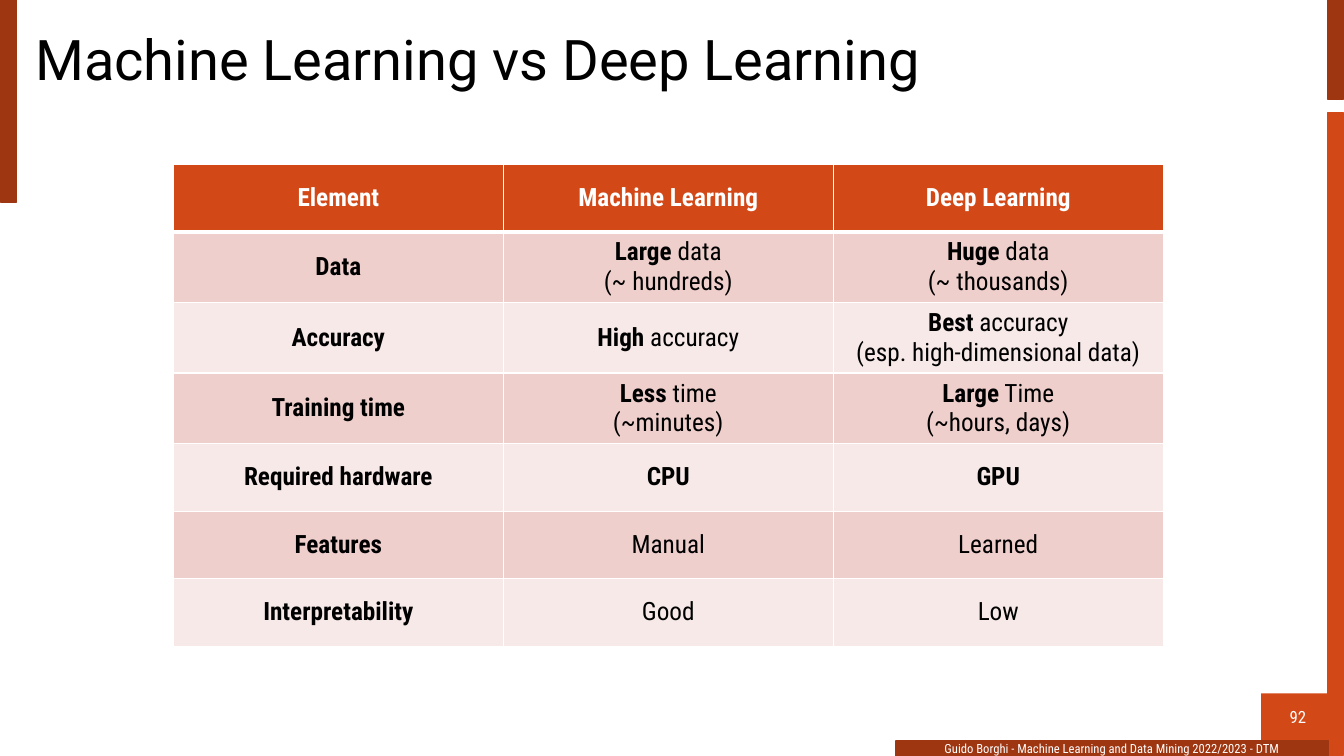
from lxml.etree import SubElement
from pptx import Presentation
from pptx.dml.color import RGBColor
from pptx.enum.shapes import MSO_SHAPE
from pptx.enum.text import MSO_ANCHOR, PP_ALIGN
from pptx.oxml.ns import qn
from pptx.util import Inches, Pt

WIDE, HIGH = Inches(13.33), Inches(7.5)
ORANGE = RGBColor(0xD3, 0x48, 0x17)
RUST = RGBColor(0x9E, 0x36, 0x11)
ROSE = RGBColor(0xEF, 0xCF, 0xCC)
BLUSH = RGBColor(0xF7, 0xE9, 0xE8)
WHITE = RGBColor(0xFF, 0xFF, 0xFF)
BLACK = RGBColor(0, 0, 0)

BARS = [
    (98.81, 14.87, 1.13, 85.07, ORANGE),
    (98.81, 0, 1.13, 13.2, RUST),
    (0.07, 0, 1.13, 26.8, RUST),
    (66.67, 98, 32.18, 2, RUST),
]
ROWS = [
    ("*Element*", "*Machine Learning*", "*Deep Learning*"),
    ("*Data*", "*Large *data\n(~ hundreds)", "*Huge *data\n(~ thousands)"),
    ("*Accuracy*", "*High *accuracy",
     "*Best *accuracy\n(esp. high-dimensional data)"),
    ("*Training time*", "*Less* time\n(~minutes)", "*Large* Time\n(~hours, days)"),
    ("*Required hardware*", "*CPU*", "*GPU*"),
    ("*Features*", "Manual", "Learned"),
    ("*Interpretability*", "Good", "Low"),
]


def place(left, top, width, height):
    return [int(size * share / 100) for size, share in
            zip((WIDE, HIGH, WIDE, HIGH), (left, top, width, height))]


def write(frame, text, size=18, font="Roboto Condensed", color=BLACK,
          align=PP_ALIGN.CENTER, space=None):
    frame.word_wrap = True
    for row, line in enumerate(text.split("\n")):
        para = frame.paragraphs[0] if row == 0 else frame.add_paragraph()
        para.alignment = align
        para.line_spacing = space
        for spot, part in enumerate(line.split("*")):
            if part:
                run = para.add_run()
                run.text = part
                run.font.size = Pt(size)
                run.font.name = font
                run.font.bold = spot % 2 == 1
                run.font.color.rgb = color


def add_bar(slide, box, color, edge=True):
    bar = slide.shapes.add_shape(MSO_SHAPE.RECTANGLE, *place(*box))
    bar.shadow.inherit = False
    bar.fill.solid()
    bar.fill.fore_color.rgb = color
    if edge:
        bar.line.color.rgb = color
        bar.line.width = Pt(1)
    else:
        bar.line.fill.background()
    return bar


def add_text(slide, box, text, anchor=MSO_ANCHOR.TOP, **style):
    frame = slide.shapes.add_textbox(*place(*box)).text_frame
    frame.vertical_anchor = anchor
    write(frame, text, **style)


def add_edge(cell, side, width):
    line = SubElement(cell._tc.get_or_add_tcPr(), qn("a:ln" + side),
                      w=str(Pt(width)))
    fill = SubElement(line, qn("a:solidFill"))
    SubElement(fill, qn("a:srgbClr"), val=str(WHITE))


def add_grid(slide, box, rows):
    grid = slide.shapes.add_table(len(rows), len(rows[0]), *place(*box)).table
    for down, row in enumerate(rows):
        shade = ORANGE if down == 0 else (BLUSH, ROSE)[down % 2]
        for across, text in enumerate(row):
            cell = grid.cell(down, across)
            for side in "LRTB":
                thick = (down, side) in ((0, "B"), (1, "T"))
                add_edge(cell, side, 3 if thick else 1)
            cell.fill.solid()
            cell.fill.fore_color.rgb = shade
            cell.vertical_anchor = MSO_ANCHOR.MIDDLE
            write(cell.text_frame, text, color=BLACK if down else WHITE)


def main():
    deck = Presentation()
    deck.slide_width, deck.slide_height = WIDE, HIGH
    slide = deck.slides.add_slide(deck.slide_layouts[6])
    badge = add_bar(slide, (93.83, 91.73, 5.48, 6.27), ORANGE, edge=False)
    badge.text_frame.vertical_anchor = MSO_ANCHOR.MIDDLE
    write(badge.text_frame, "92", size=12, color=WHITE)
    for *box, color in BARS:
        add_bar(slide, box, color)
    add_text(slide, (66.67, 97.33, 32.1, 3.33),
             "Guido Borghi - Machine Learning and Data Mining 2022/2023 - DTM",
             size=9, color=WHITE)
    add_grid(slide, (12.9, 21.73, 73.65, 62.53), ROWS)
    add_text(slide, (1.88, 3.2, 95.63, 10), "Machine Learning vs Deep Learning",
             anchor=MSO_ANCHOR.MIDDLE, size=40, font="Roboto",
             align=PP_ALIGN.LEFT, space=0.9)
    deck.save("out.pptx")


if __name__ == "__main__":
    main()
